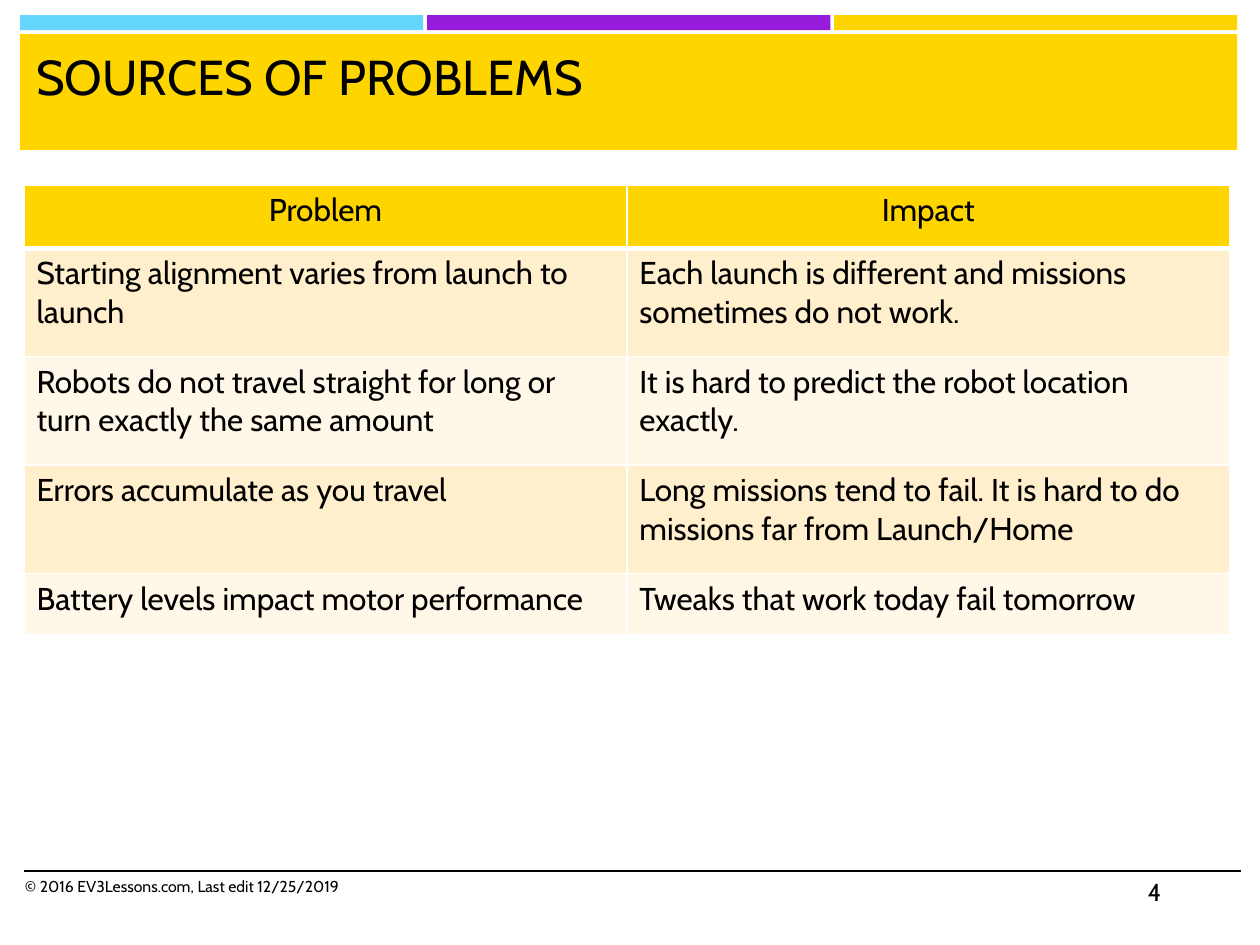
from lxml.etree import SubElement
from pptx import Presentation
from pptx.dml.color import RGBColor
from pptx.enum.shapes import MSO_CONNECTOR, MSO_SHAPE
from pptx.enum.text import PP_ALIGN
from pptx.oxml.ns import qn
from pptx.util import Inches, Pt

COLORS = {
    "sky": "65D7FF",
    "purple": "961BDB",
    "gold": "FFD500",
    "cream": "FFEFCC",
    "ivory": "FFF7E7",
    "ink": "000000",
    "white": "FFFFFF",
}
FONT = "Cabin"
PROBLEMS = [
    ("Problem", "Impact"),
    ("Starting alignment varies from launch to launch",
     "Each launch is different and missions sometimes do not work."),
    ("Robots do not travel straight for long or turn exactly the same amount",
     "It is hard to predict the robot location exactly."),
    ("Errors accumulate as you travel",
     "Long missions tend to fail. It is hard to do missions far from Launch/Home"),
    ("Battery levels impact motor performance",
     "Tweaks that work today fail tomorrow"),
]
ROW_HEIGHTS = [0.5, 0.86, 0.86, 0.86, 0.49]


class LessonSlide:
    """Draws styled elements on the current slide."""

    def __init__(self, slide):
        self.slide = slide

    def color(self, name):
        return RGBColor.from_string(COLORS[name])

    def set_text(self, frame, text, size, align=PP_ALIGN.LEFT):
        paragraph = frame.paragraphs[0]
        paragraph.text = text
        paragraph.alignment = align
        font = paragraph.runs[0].font
        formats = {"name": FONT, "size": Pt(size), "bold": False}
        for attribute, value in formats.items():
            setattr(font, attribute, value)
        font.color.rgb = self.color("ink")

    def bar(self, left, top, width, height, fill):
        band = self.slide.shapes.add_shape(
            MSO_SHAPE.RECTANGLE, Inches(left), Inches(top), Inches(width), Inches(height))
        band.shadow.inherit = False
        band.fill.solid()
        band.fill.fore_color.rgb = self.color(fill)
        band.line.fill.background()

    def rule(self, left, right, y):
        divider = self.slide.shapes.add_connector(
            MSO_CONNECTOR.STRAIGHT, Inches(left), Inches(y), Inches(right), Inches(y))
        divider.line.color.rgb = self.color("ink")
        divider.line.width = Pt(1)
        SubElement(divider._element.spPr, qn("a:effectLst"))

    def label(self, text, left, top, width, height, size):
        frame = self.slide.shapes.add_textbox(
            Inches(left), Inches(top), Inches(width), Inches(height)).text_frame
        frame.word_wrap = True
        self.set_text(frame, text, size)

    def border(self, cell, side, points):
        edge = SubElement(cell._tc.get_or_add_tcPr(), qn(f"a:ln{side}"), w=str(Pt(points)))
        paint = SubElement(edge, qn("a:solidFill"))
        SubElement(paint, qn("a:srgbClr"), val=COLORS["white"])

    def table(self, rows, heights, left, top, width):
        grid = self.slide.shapes.add_table(
            len(rows), len(rows[0]), Inches(left), Inches(top),
            Inches(width), Inches(sum(heights))).table
        for r, (entries, height) in enumerate(zip(rows, heights)):
            grid.rows[r].height = Inches(height)
            header = r == 0
            fill = "gold" if header else ("ivory", "cream")[r % 2]
            align = PP_ALIGN.CENTER if header else PP_ALIGN.LEFT
            for c, entry in enumerate(entries):
                cell = grid.cell(r, c)
                self.set_text(cell.text_frame, entry, 18, align)
                for side in "LRTB":
                    self.border(cell, side, 3 if header and side == "B" else 1)
                cell.fill.solid()
                cell.fill.fore_color.rgb = self.color(fill)


def main():
    deck = Presentation()
    deck.slide_width, deck.slide_height = Inches(10), Inches(7.5)
    lesson = LessonSlide(deck.slides.add_slide(deck.slide_layouts[6]))
    for i, accent in enumerate(("sky", "purple", "gold")):
        lesson.bar(0.16 + i * 3.23, 0.12, 3.2, 0.12, accent)
    lesson.bar(0.16, 0.27, 9.66, 0.92, "gold")
    lesson.rule(0.19, 9.85, 6.91)
    lesson.label("SOURCES OF PROBLEMS", 0.19, 0.32, 9.57, 0.82, 28)
    lesson.table(PROBLEMS, ROW_HEIGHTS, 0.19, 1.47, 9.57)
    lesson.label("© 2016 EV3Lessons.com, Last edit 12/25/2019", 0.1, 6.91, 5.33, 0.4, 9)
    lesson.label("4", 9.01, 6.91, 0.84, 0.4, 14)
    deck.save("out.pptx")


if __name__ == "__main__":
    main()
